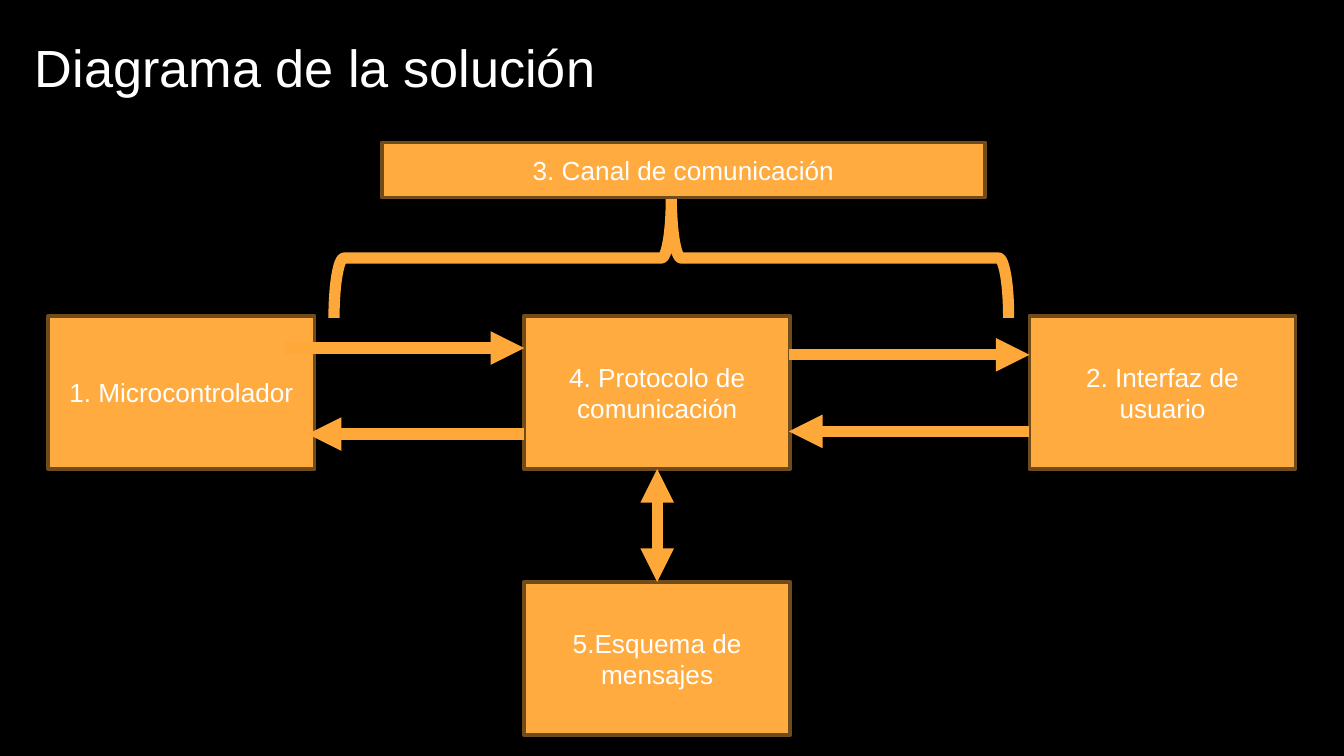
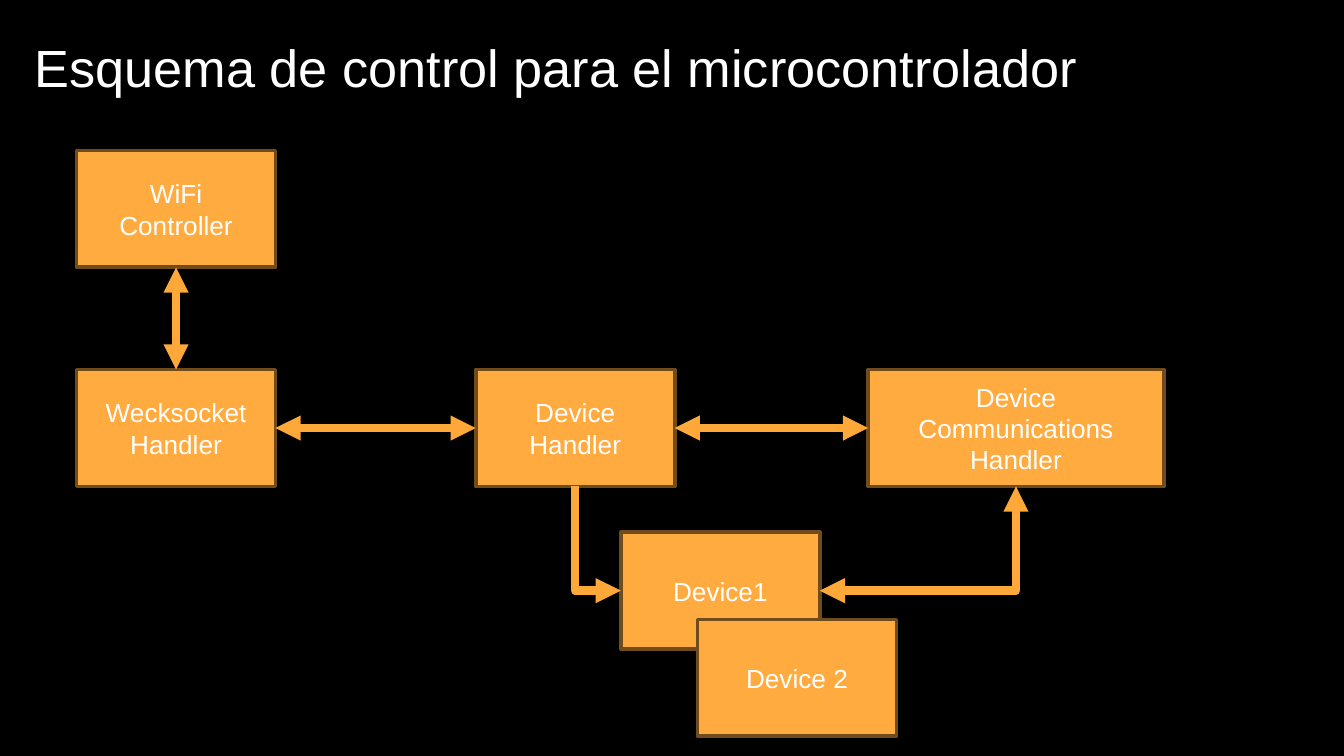
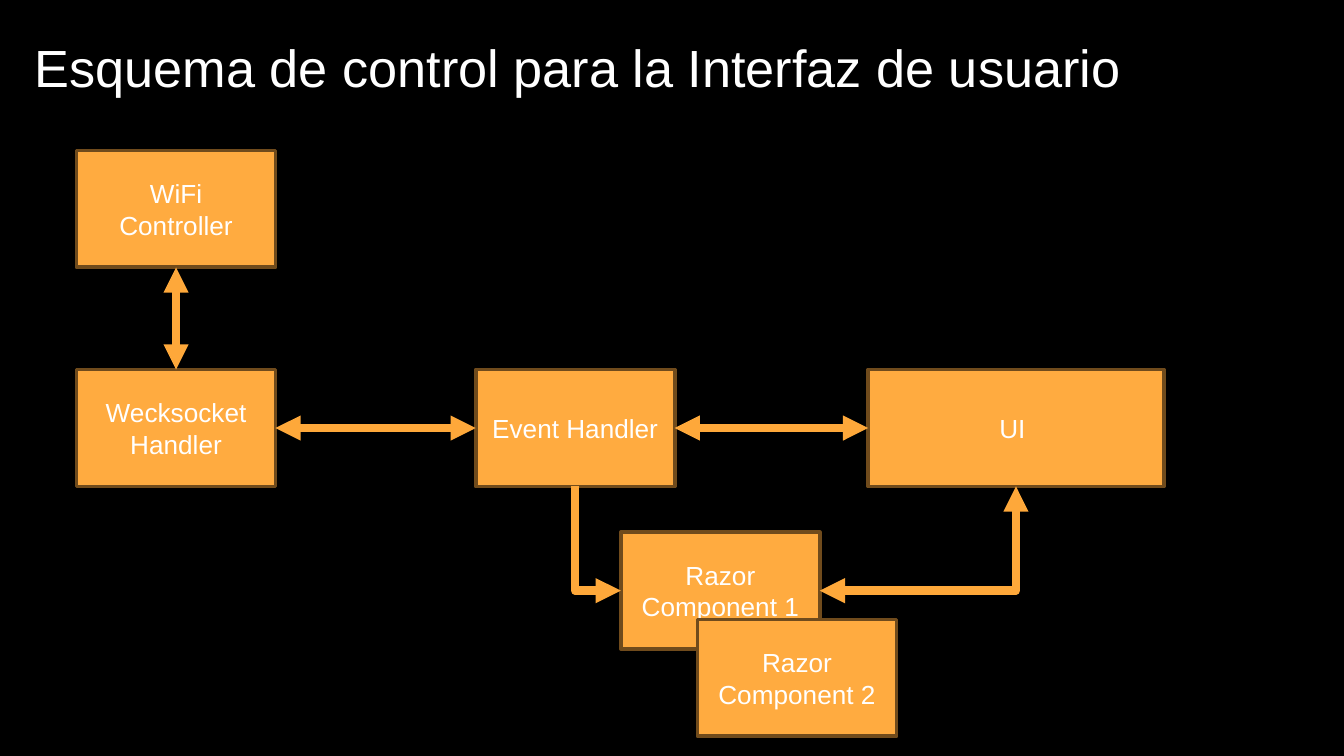
from lxml import etree
from pptx import Presentation
from pptx.dml.color import RGBColor
from pptx.enum import shapes, text
from pptx.oxml import ns
from pptx.util import Inches, Pt

BLACK = "000000"
WHITE = "FFFFFF"
ORANGE = "FFAB40"
BROWN = "704B1C"
ARROW = "FEA83A"
FONT = "Arial"
TOP, LEFT, BOTTOM, RIGHT = range(4)
STRAIGHT = shapes.MSO_CONNECTOR.STRAIGHT
ELBOW = shapes.MSO_CONNECTOR.ELBOW


def color(value):
    return RGBColor.from_string(value)


def set_font(paragraph, size):
    paragraph.font.name = FONT
    paragraph.font.size = Pt(size)
    paragraph.font.color.rgb = color(WHITE)


def add_titled_slide(prs, title, width):
    slide = prs.slides.add_slide(prs.slide_layouts[5])
    heading = slide.shapes.title
    heading.left, heading.top = Inches(0.16), Inches(0.16)
    heading.width, heading.height = Inches(width), Inches(0.63)
    frame = heading.text_frame
    frame.text = title
    frame.auto_size = text.MSO_AUTO_SIZE.NONE
    frame.vertical_anchor = text.MSO_ANCHOR.TOP
    frame.margin_left = frame.margin_right = Inches(0.1)
    frame.margin_top = frame.margin_bottom = Inches(0.1)
    frame.paragraphs[0].alignment = text.PP_ALIGN.LEFT
    set_font(frame.paragraphs[0], 28)
    return slide


def add_block(slide, label, left, top, width, height):
    block = slide.shapes.add_shape(
        shapes.MSO_SHAPE.RECTANGLE,
        Inches(left), Inches(top), Inches(width), Inches(height))
    block.shadow.inherit = False
    block.fill.solid()
    block.fill.fore_color.rgb = color(ORANGE)
    block.line.color.rgb = color(BROWN)
    block.line.width = Pt(2)
    frame = block.text_frame
    frame.word_wrap = True
    frame.vertical_anchor = text.MSO_ANCHOR.MIDDLE
    frame.text = label
    for paragraph in frame.paragraphs:
        paragraph.alignment = text.PP_ALIGN.CENTER
        set_font(paragraph, 14)
    return block


def add_arrow(slide, kind, width, heads, start=(0, 0), end=(0, 0)):
    arrow = slide.shapes.add_connector(
        kind, *[Inches(value) for value in (*start, *end)])
    arrow.line.color.rgb = color(ARROW)
    arrow.line.width = Pt(width)
    outline = arrow.line._get_or_add_ln()
    for head in heads:
        etree.SubElement(outline, ns.qn(f"a:{head}"), type="triangle")
    etree.SubElement(arrow._element.spPr, ns.qn("a:effectLst"))
    return arrow


def link(slide, source, source_side, target, target_side, width=4.5,
         kind=STRAIGHT, heads=("headEnd", "tailEnd")):
    arrow = add_arrow(slide, kind, width, heads)
    arrow.begin_connect(source, source_side)
    arrow.end_connect(target, target_side)
    if kind == ELBOW:
        geometry = arrow._element.spPr.find(ns.qn("a:prstGeom"))
        geometry.set("prst", "bentConnector2")


def add_channel_brace(slide):
    brace = slide.shapes.add_shape(
        shapes.MSO_SHAPE.RIGHT_BRACE,
        Inches(4.55), Inches(-0.59), Inches(0.89), Inches(5.02))
    brace.rotation = 270
    brace.shadow.inherit = False
    brace.fill.background()
    brace.line.color.rgb = color(ARROW)
    brace.line.width = Pt(6)


def add_solution_slide(prs):
    slide = add_titled_slide(prs, "Diagrama de la solución", 6.2)
    size = (1.98, 1.14)
    add_block(slide, "2. Interfaz de usuario", 7.66, 2.35, *size)
    add_block(slide, "1. Microcontrolador", 0.36, 2.35, *size)
    protocol = add_block(slide, "4. Protocolo de comunicación", 3.9, 2.35, *size)
    messages = add_block(slide, "5.Esquema de mensajes", 3.9, 4.33, *size)
    for start, end, y in ((7.66, 5.87, 3.21), (3.9, 2.29, 3.23),
                          (5.87, 7.66, 2.64), (2.11, 3.9, 2.59)):
        add_arrow(slide, ELBOW, 6, ["tailEnd"], (start, y), (end, y))
    link(slide, protocol, BOTTOM, messages, TOP, width=6)
    add_channel_brace(slide)
    add_block(slide, "3. Canal de comunicación", 2.84, 1.06, 4.49, 0.41)


def add_control_slide(prs, title, handler_label, output_label, part_labels):
    slide = add_titled_slide(prs, title, 8.93)
    size = (1.48, 0.87)
    wifi = add_block(slide, "WiFi Controller", 0.57, 1.12, *size)
    socket = add_block(slide, "Wecksocket Handler", 0.57, 2.75, *size)
    handler = add_block(slide, handler_label, 3.54, 2.75, *size)
    output = add_block(slide, output_label, 6.46, 2.75, 2.2, 0.87)
    first_part, _ = [
        add_block(slide, label, 4.62 + 0.57 * i, 3.96 + 0.65 * i, *size)
        for i, label in enumerate(part_labels)]
    link(slide, first_part, LEFT, handler, BOTTOM, kind=ELBOW, heads=["headEnd"])
    link(slide, handler, RIGHT, output, LEFT)
    link(slide, first_part, RIGHT, output, BOTTOM, kind=ELBOW)
    link(slide, handler, LEFT, socket, RIGHT)
    link(slide, wifi, BOTTOM, socket, TOP)


def main():
    prs = Presentation()
    prs.slide_width = Inches(10)
    prs.slide_height = prs.slide_width * 9 // 16
    background = prs.slide_master.background.fill
    background.solid()
    background.fore_color.rgb = color(BLACK)
    add_solution_slide(prs)
    add_control_slide(
        prs, "Esquema de control para el microcontrolador",
        "Device Handler", "Device\nCommunications Handler",
        ("Device1", "Device 2"))
    add_control_slide(
        prs, "Esquema de control para la Interfaz de usuario",
        "Event Handler", "UI ",
        ("Razor Component 1", "Razor Component 2"))
    prs.save("out.pptx")


if __name__ == "__main__":
    main()
